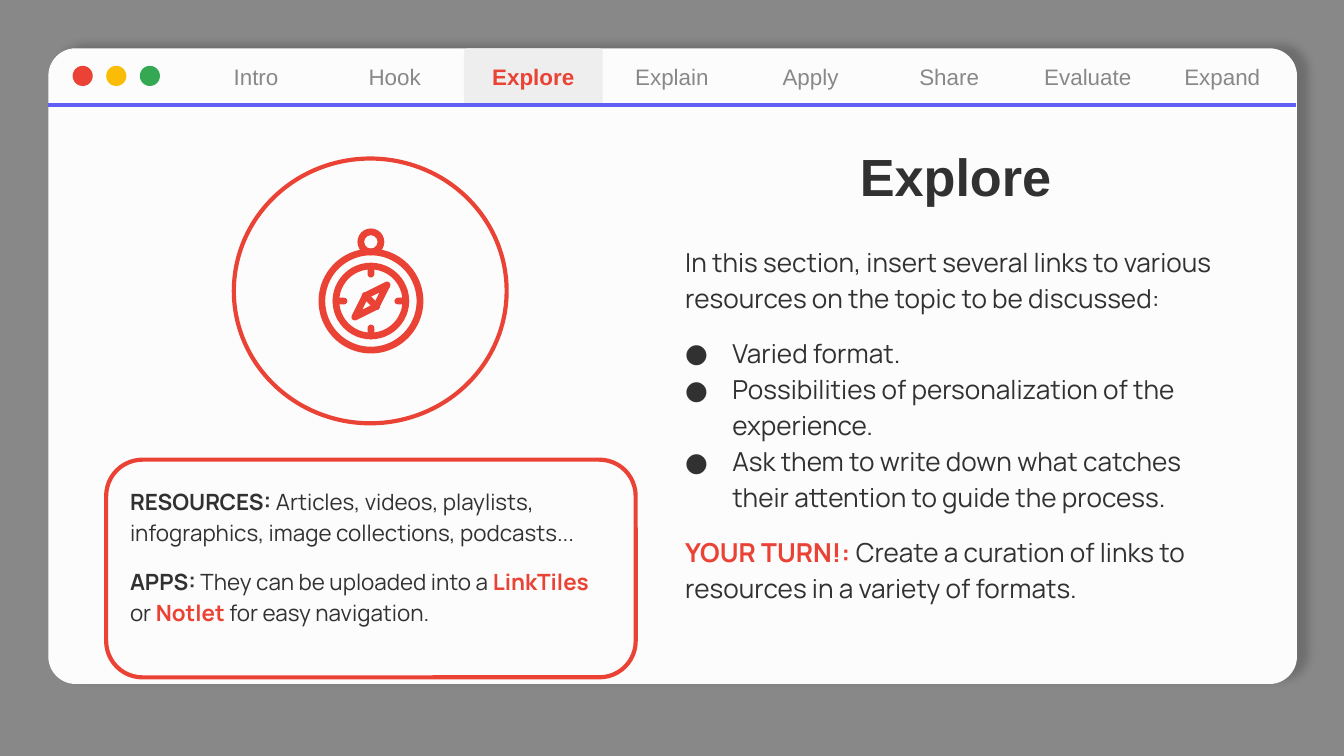
from dataclasses import dataclass

from lxml.etree import SubElement
from pptx import Presentation
from pptx.dml.color import RGBColor
from pptx.enum.shapes import MSO_CONNECTOR, MSO_SHAPE
from pptx.enum.text import MSO_ANCHOR, MSO_AUTO_SIZE, PP_ALIGN
from pptx.oxml.ns import qn
from pptx.util import Inches, Pt


@dataclass(frozen=True)
class Theme:
    backdrop: str = "888888"
    panel: str = "FCFCFC"
    ink: str = "313131"
    muted: str = "888888"
    active_tab: str = "EEEEEE"
    accent: str = "EA4335"
    yellow: str = "FBBC05"
    green: str = "34A853"
    rule: str = "5F5FF5"
    heading_font: str = "Arial"
    body_font: str = "Manrope"
    title_size: int = 28
    body_size: int = 14
    small_size: int = 12
    line_width: float = 2.25


THEME = Theme()
TABS = ["Intro", "Hook", "Explore", "Explain", "Apply", "Share", "Evaluate", "Expand"]
ACTIVE_TAB = "Explore"
FIRST_TAB_LEFT, LAST_TAB_LEFT = 1.39, 8.61
RESOURCES = [
    [("RESOURCES:", THEME.ink, True),
     (" Articles, videos, playlists, infographics, image collections, podcasts...", THEME.ink, False)],
    [("APPS: ", THEME.ink, True), ("They can be uploaded into a", THEME.ink, False),
     (" LinkTiles", THEME.accent, True), (" or ", THEME.ink, False),
     ("Notlet ", THEME.accent, True), ("for easy navigation.", THEME.ink, False)],
]
INTRODUCTION = "In this section, insert several links to various resources on the topic to be discussed:"
BULLETS = [
    "Varied format.",
    "Possibilities of personalization of the experience.",
    "Ask them to write down what catches their attention to guide the process.",
]
YOUR_TURN = [
    ("YOUR TURN!: ", THEME.accent, True),
    ("Create a curation of links to resources in a variety of formats.", THEME.ink, False),
]


def color(value):
    return RGBColor.from_string(value)


def paint(shape, fill=None, line=None, width=THEME.line_width):
    shape.shadow.inherit = False
    if fill:
        shape.fill.solid()
        shape.fill.fore_color.rgb = color(fill)
    else:
        shape.fill.background()
    if line:
        shape.line.color.rgb = color(line)
        shape.line.width = Pt(width)
    else:
        shape.line.fill.background()


def add_shape(shapes, kind, left, top, width, height, adjustment=None, **style):
    shape = shapes.add_shape(kind, Inches(left), Inches(top), Inches(width), Inches(height))
    if adjustment is not None:
        shape.adjustments[0] = adjustment
    paint(shape, **style)
    return shape


def add_centered(shapes, kind, center, width, height, adjustment=None, **style):
    x, y = center
    return add_shape(shapes, kind, x - width / 2, y - height / 2, width, height, adjustment, **style)


def set_frame(text_frame, anchor, inset=0.1):
    text_frame.word_wrap = True
    text_frame.auto_size = MSO_AUTO_SIZE.NONE
    text_frame.vertical_anchor = anchor
    text_frame.margin_left = text_frame.margin_right = Inches(inset)
    text_frame.margin_top = text_frame.margin_bottom = Inches(inset)


def format_run(run, font, size, value, bold):
    run.font.name = font
    run.font.size = Pt(size)
    run.font.color.rgb = color(value)
    run.font.bold = bold


def set_label(text_frame, text, size, value, bold):
    text_frame.text = text
    paragraph = text_frame.paragraphs[0]
    paragraph.alignment = PP_ALIGN.CENTER
    format_run(paragraph.runs[0], THEME.heading_font, size, value, bold)
    return paragraph


def write_paragraph(text_frame, index, pieces, size, space_before=0):
    paragraph = text_frame.add_paragraph() if index else text_frame.paragraphs[0]
    paragraph.alignment = PP_ALIGN.LEFT
    paragraph.line_spacing = 1.15
    paragraph.space_before = Pt(space_before)
    for text, value, bold in pieces:
        run = paragraph.add_run()
        run.text = text
        format_run(run, THEME.body_font, size, value, bold)
    return paragraph


def add_bullet(paragraph):
    properties = paragraph._p.get_or_add_pPr()
    properties.set("marL", str(Inches(0.35)))
    properties.set("indent", str(-Inches(0.35)))
    bullet_color = SubElement(properties, qn("a:buClr"))
    SubElement(bullet_color, qn("a:srgbClr"), val=THEME.ink)
    SubElement(properties, qn("a:buFont"), typeface=THEME.body_font)
    SubElement(properties, qn("a:buChar"), char="●")


def add_panel(slide):
    panel = add_shape(slide.shapes, MSO_SHAPE.ROUNDED_RECTANGLE,
                      0.36, 0.36, 9.29, 4.73, 0.043, fill=THEME.panel)
    effects = panel._element.spPr.find(qn("a:effectLst"))
    shadow = SubElement(effects, qn("a:outerShdw"), blurRad=str(Pt(4.5)), dist=str(Pt(6)),
                        dir=str(342 * 60000), algn="bl", rotWithShape="0")
    shadow_color = SubElement(shadow, qn("a:srgbClr"), val=THEME.ink)
    SubElement(shadow_color, qn("a:alpha"), val="30000")


def add_tabs(slide):
    pitch = (LAST_TAB_LEFT - FIRST_TAB_LEFT) / (len(TABS) - 1)
    for index, name in enumerate(TABS):
        active, last = name == ACTIVE_TAB, name == TABS[-1]
        kind = MSO_SHAPE.ROUND_1_RECTANGLE if last else MSO_SHAPE.ROUNDED_RECTANGLE
        tab = add_shape(slide.shapes, kind, FIRST_TAB_LEFT + pitch * index, 0.36, pitch, 0.42,
                        0.5 if last else 0.06, fill=THEME.active_tab if active else None)
        set_frame(tab.text_frame, MSO_ANCHOR.MIDDLE, 0.1 if last else 0)
        set_label(tab.text_frame, name, THEME.small_size,
                  THEME.accent if active else THEME.muted, active)


def add_window_buttons(slide):
    shapes = slide.shapes.add_group_shape().shapes
    for index, fill in enumerate([THEME.accent, THEME.yellow, THEME.green]):
        add_shape(shapes, MSO_SHAPE.OVAL, 0.54 + 0.25 * index, 0.49, 0.15, 0.15, fill=fill)


def add_rule(slide):
    rule = slide.shapes.add_connector(MSO_CONNECTOR.STRAIGHT, Inches(0.36), Inches(0.78),
                                      Inches(9.64), Inches(0.78))
    rule.line.color.rgb = color(THEME.rule)
    rule.line.width = Pt(THEME.line_width)
    SubElement(rule._element.spPr, qn("a:effectLst"))


def add_compass(slide):
    add_shape(slide.shapes, MSO_SHAPE.OVAL, 1.74, 1.18, 2.03, 1.97, line=THEME.accent)
    shapes = slide.shapes.add_group_shape().shapes
    x, y = center = (2.76, 2.24)
    for ring_center, diameter in [(center, 0.78), (center, 0.57), ((x, 1.8), 0.2)]:
        add_centered(shapes, MSO_SHAPE.DONUT, ring_center, diameter, diameter,
                     0.05 / diameter, fill=THEME.accent)
    for dx, dy in [(0, -1), (0, 1), (-1, 0), (1, 0)]:
        width, height = (0.11, 0.05) if dx else (0.05, 0.11)
        add_centered(shapes, MSO_SHAPE.ROUNDED_RECTANGLE, (x + 0.23 * dx, y + 0.23 * dy),
                     width, height, 0.5, fill=THEME.accent)
    corners = [(x + dx, y + dy) for dx, dy in
               [(0.12, -0.12), (0.04, 0.04), (-0.12, 0.12), (-0.04, -0.04)]]
    points = [(Inches(px), Inches(py)) for px, py in corners]
    builder = shapes.build_freeform(*points[0])
    builder.add_line_segments(points[1:], close=True)
    paint(builder.convert_to_shape(), line=THEME.accent, width=3.6)
    pivot = add_centered(shapes, MSO_SHAPE.ROUNDED_RECTANGLE, center, 0.17, 0.05, 0.5,
                         fill=THEME.accent)
    pivot.rotation = 45


def add_resources(slide):
    box = add_shape(slide.shapes, MSO_SHAPE.ROUNDED_RECTANGLE,
                    0.79, 3.42, 3.94, 1.62, 0.167, line=THEME.accent)
    set_frame(box.text_frame, MSO_ANCHOR.TOP)
    for index, pieces in enumerate(RESOURCES):
        write_paragraph(box.text_frame, index, pieces, THEME.small_size, 10 * index)


def add_body(slide):
    box = slide.shapes.add_textbox(Inches(5), Inches(1.7), Inches(4.22), Inches(3.34))
    frame = box.text_frame
    set_frame(frame, MSO_ANCHOR.TOP)
    write_paragraph(frame, 0, [(INTRODUCTION, THEME.ink, False)], THEME.body_size)
    for index, text in enumerate(BULLETS, 1):
        paragraph = write_paragraph(frame, index, [(text, THEME.ink, False)],
                                    THEME.body_size, 10 if index == 1 else 0)
        add_bullet(paragraph)
    write_paragraph(frame, len(BULLETS) + 1, YOUR_TURN, THEME.body_size, 10)


def set_title(slide):
    title = slide.shapes.title
    title.left, title.top, title.width, title.height = map(Inches, (5, 1.13, 4.22, 0.51))
    set_frame(title.text_frame, MSO_ANCHOR.BOTTOM)
    paragraph = set_label(title.text_frame, "Explore", THEME.title_size, THEME.ink, True)
    paragraph.line_spacing = 0.8
    title._element.getparent().append(title._element)


def main():
    presentation = Presentation()
    presentation.slide_width = Inches(10)
    presentation.slide_height = presentation.slide_width * 9 // 16
    slide = presentation.slides.add_slide(presentation.slide_layouts[5])
    slide.background.fill.solid()
    slide.background.fill.fore_color.rgb = color(THEME.backdrop)
    for build in (add_panel, add_tabs, add_window_buttons, add_rule, add_compass,
                  add_resources, add_body, set_title):
        build(slide)
    presentation.save("out.pptx")


if __name__ == "__main__":
    main()
